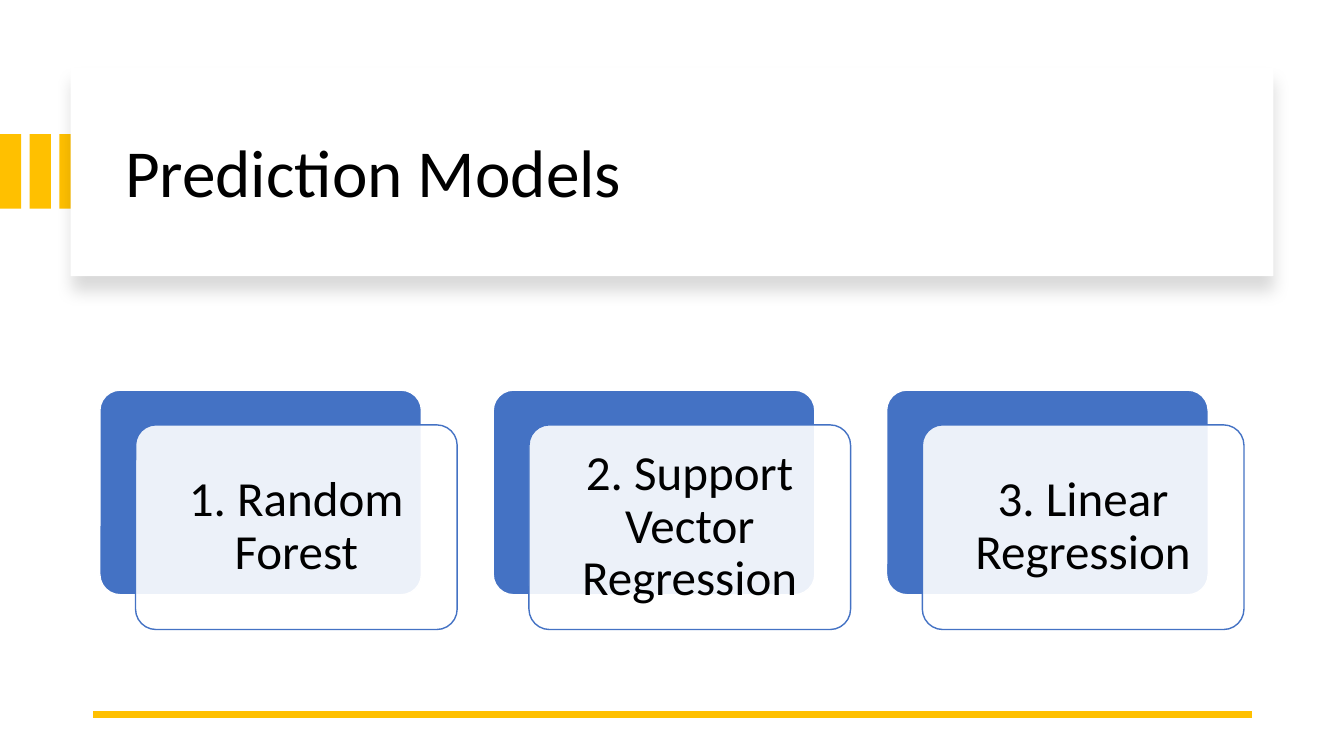
from dataclasses import dataclass

from lxml.etree import SubElement
from pptx import Presentation
from pptx.dml.color import RGBColor as Rgb
from pptx.enum.shapes import MSO_CONNECTOR as Link, MSO_SHAPE as Kind
from pptx.enum.text import MSO_ANCHOR as Anchor, MSO_AUTO_SIZE as Fit, PP_ALIGN as Align
from pptx.oxml.ns import qn
from pptx.shapes.autoshape import Shape
from pptx.shapes.shapetree import GroupShapes
from pptx.text.text import TextFrame
from pptx.util import Inches, Pt

WIDE, HIGH = Inches(13.33), Inches(7.5)


@dataclass(frozen=True)
class Theme:
    font: str = "Calibri"
    gold: Rgb = Rgb(0xFF, 0xC0, 0x00)
    blue: Rgb = Rgb(0x44, 0x72, 0xC4)
    white: Rgb = Rgb(0xFF, 0xFF, 0xFF)
    black: Rgb = Rgb(0x00, 0x00, 0x00)
    head: int = 48
    body: int = 35


@dataclass(frozen=True)
class Box:
    """A frame in percent of the slide's width and height."""
    x: float
    y: float
    w: float
    h: float

    def move(self, dx: float, dy: float = 0) -> "Box":
        return Box(self.x + dx, self.y + dy, self.w, self.h)

    def emu(self) -> tuple[int, int, int, int]:
        return across(self.x), down(self.y), across(self.w), down(self.h)


THEME = Theme()
BAR, BAR_STEP = Box(0, 17.73, 1.58, 9.87), 2.21
PANEL = Box(5.25, 8.93, 89.5, 27.6)
TITLE = Box(8.55, 11.87, 83.5, 22.67)
CARD, CARD_STEP = Box(7.43, 51.6, 23.93, 27.07), 29.27
SHIFT = (2.66, 4.6)
MODELS = ("1. Random Forest", "2. Support Vector Regression", "3. Linear Regression")


def across(share: float) -> int:
    return round(WIDE * share / 100)


def down(share: float) -> int:
    return round(HIGH * share / 100)


def draw(tree: GroupShapes, kind: Kind, box: Box, fill: Rgb, edge: Rgb | None = None) -> Shape:
    shape = tree.add_shape(kind, *box.emu())
    shape.shadow.inherit = False
    shape.fill.solid()
    shape.fill.fore_color.rgb = fill
    if edge is None:
        shape.line.fill.background()
    else:
        shape.line.color.rgb = edge
        shape.line.width = Pt(1)
    return shape


def write(frame: TextFrame, text: str, size: int, align: Align) -> None:
    frame.word_wrap = True
    frame.auto_size = Fit.NONE
    frame.vertical_anchor = Anchor.MIDDLE
    para = frame.paragraphs[0]
    para.alignment = align
    para.line_spacing = 0.9
    run = para.add_run()
    run.text = text
    run.font.name = THEME.font
    run.font.size = Pt(size)
    run.font.color.rgb = THEME.black


def fade(color, share: int) -> None:
    """Set the opacity of a colour element in percent."""
    SubElement(color, qn("a:alpha")).set("val", str(share * 1000))


def shade(shape: Shape) -> None:
    """Cast a soft shadow straight down."""
    effects = shape._element.spPr.find(qn("a:effectLst"))
    outer = SubElement(effects, qn("a:outerShdw"), blurRad=str(Pt(11)), dist=str(Pt(10)),
                       dir="5400000", algn="t", rotWithShape="0")
    fade(SubElement(outer, qn("a:srgbClr"), val=str(THEME.black)), 15)


def card(tree: GroupShapes, box: Box, text: str) -> None:
    back = draw(tree, Kind.ROUNDED_RECTANGLE, box, THEME.blue, THEME.white)
    front = draw(tree, Kind.ROUNDED_RECTANGLE, box.move(*SHIFT), THEME.white, THEME.blue)
    for shape in (back, front):
        shape.adjustments[0] = 0.1
    fade(front._element.spPr.find(qn("a:solidFill"))[0], 90)
    frame = front.text_frame
    frame.margin_left = frame.margin_right = Inches(0.15)
    frame.margin_top = frame.margin_bottom = Inches(0.15)
    write(frame, text, THEME.body, Align.CENTER)


def main() -> None:
    deck = Presentation()
    deck.slide_width, deck.slide_height = WIDE, HIGH
    slide = deck.slides.add_slide(deck.slide_layouts[5])
    tree = slide.shapes
    title = tree.title

    bars = tree.add_group_shape().shapes
    for col in range(3):
        draw(bars, Kind.RECTANGLE, BAR.move(col * BAR_STEP), THEME.gold)
    shade(draw(tree, Kind.RECTANGLE, PANEL, THEME.white))

    title.left, title.top, title.width, title.height = TITLE.emu()
    write(title.text_frame, "Prediction Models", THEME.head, Align.LEFT)
    tree._spTree.append(title._element)

    rule = tree.add_connector(Link.STRAIGHT, across(93.17), down(94.53), across(6.9), down(94.53))
    rule.line.color.rgb = THEME.gold
    rule.line.width = Pt(4.5)
    SubElement(rule._element.spPr, qn("a:effectLst"))

    cards = tree.add_group_shape().shapes
    for col, model in enumerate(MODELS):
        card(cards, CARD.move(col * CARD_STEP), model)

    deck.save("out.pptx")


if __name__ == "__main__":
    main()
